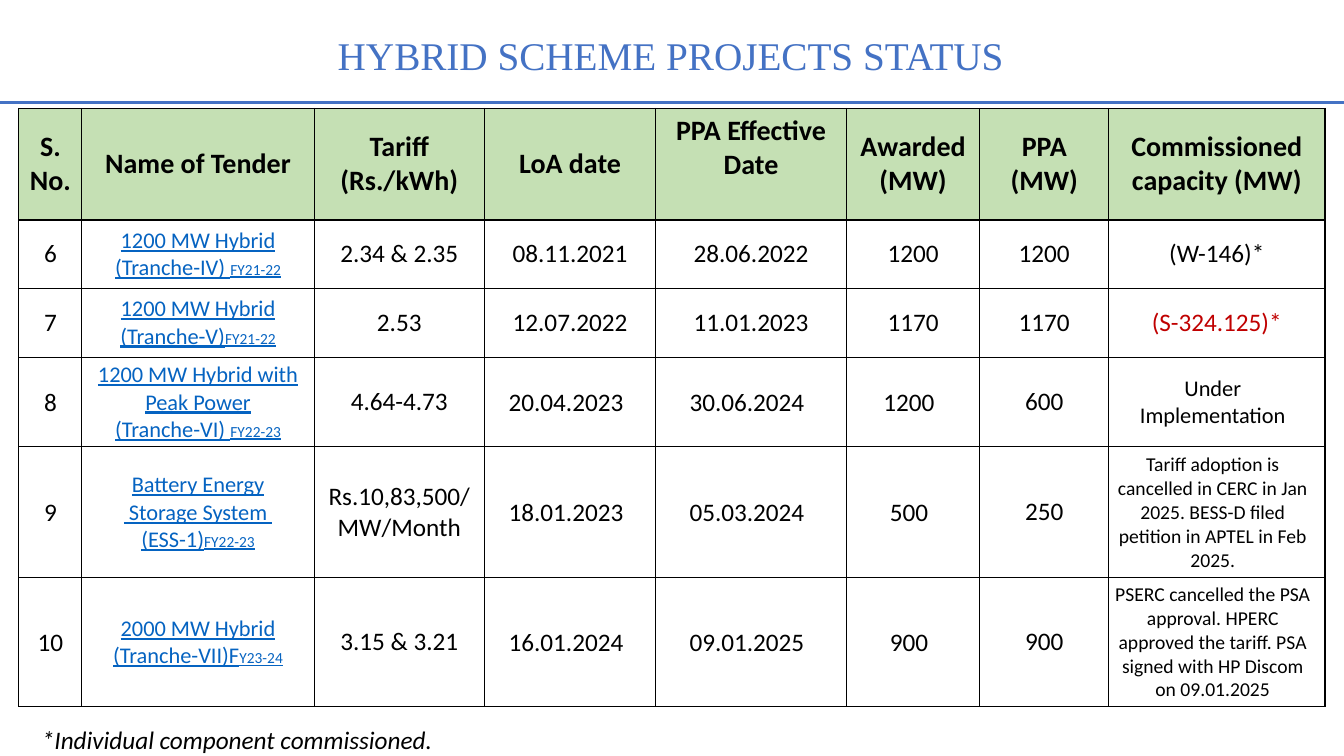
import dataclasses

import pptx
import pptx.dml.color
import pptx.enum.shapes
import pptx.enum.text
import pptx.oxml
import pptx.oxml.ns
import pptx.util

Pt = pptx.util.Pt
CENTER = pptx.enum.text.PP_ALIGN.CENTER
LEFT = pptx.enum.text.PP_ALIGN.LEFT
MIDDLE = pptx.enum.text.MSO_ANCHOR.MIDDLE


@dataclasses.dataclass(frozen=True)
class Theme:
    accent: str = "4472C4"
    ink: str = "000000"
    link: str = "0563C1"
    alert: str = "C00000"
    header_fill: str = "C5E0B4"
    title_font: str = "Times New Roman"
    body_font: str = "Calibri"
    title_size: float = 28
    header_size: float = 20
    body_size: float = 18
    tender_size: float = 16
    remark_size: float = 14
    year_size: float = 11


THEME = Theme()
NORMAL_INSETS = (7.2, 3.6, 7.2, 3.6)
TIGHT_INSETS = (0.72, 0.72, 0.72, 0)
TIGHT_LEFT_INSETS = (0.72, 0.72, 6.5, 0)
# Room below the text lifts this heading above the middle of its cell.
RAISED_INSETS = (7.2, 3.6, 7.2, 28)

COLUMN_WIDTHS = [45, 166, 121.5, 122.5, 136, 95.5, 92, 154.5]
ROW_HEIGHTS = [77, 49, 49, 64, 93.5, 92]
HEADINGS = [
    "S. No.", "Name of Tender", "Tariff (Rs./kWh)", "LoA date",
    "PPA Effective Date", "Awarded (MW)", "PPA (MW)", "Commissioned capacity (MW)",
]
TENDER_COLUMN, PPA_DATE_COLUMN, STATUS_COLUMN = 1, 4, 7
NORMAL_COLUMNS = (2, 6)
FIRST_TIGHT_ROW = 3

# Each tender holds its lines and the fiscal year that follows the last line.
PROJECTS = [
    ["6", (["1200 MW Hybrid (Tranche-IV) "], "FY21-22"), "2.34 & 2.35",
     "08.11.2021", "28.06.2022", "1200", "1200", "(W-146)*"],
    ["7", (["1200 MW Hybrid (Tranche-V)"], "FY21-22"), "2.53",
     "12.07.2022", "11.01.2023", "1170", "1170", "(S-324.125)*"],
    ["8", (["1200 MW Hybrid with Peak Power", "(Tranche-VI) "], "FY22-23"), "4.64-4.73",
     "20.04.2023", "30.06.2024", "1200", "600", "Under Implementation"],
    ["9", (["Battery Energy", " Storage System ", "(ESS-1)"], "FY22-23"),
     "Rs.10,83,500/ MW/Month", "18.01.2023", "05.03.2024", "500", "250",
     "Tariff adoption is cancelled in CERC in Jan 2025. "
     "BESS-D filed petition in APTEL in Feb 2025."],
    ["10", (["2000 MW Hybrid (Tranche-VII)F"], "Y23-24"), "3.15 & 3.21",
     "16.01.2024", "09.01.2025", "900", "900",
     "PSERC cancelled the PSA approval. HPERC approved the tariff. "
     "PSA signed with HP Discom on 09.01.2025"],
]
STATUS_FORMATS = [
    {},
    {"color": THEME.alert},
    {"size": THEME.tender_size},
    {"size": THEME.remark_size},
    {"size": THEME.remark_size},
]


def add_span(para, text, font=THEME.body_font, size=THEME.body_size, color=THEME.ink,
             bold=False, italic=False, underline=False):
    span = para.add_run()
    span.text = text
    span.font.name = font
    span.font.size = Pt(size)
    span.font.color.rgb = pptx.dml.color.RGBColor.from_string(color)
    span.font.bold = bold
    span.font.italic = italic
    span.font.underline = underline


def insets_for(row, column):
    if row == 0 and column == PPA_DATE_COLUMN:
        return RAISED_INSETS
    if row < FIRST_TIGHT_ROW or column in NORMAL_COLUMNS:
        return NORMAL_INSETS
    return TIGHT_INSETS if column <= TENDER_COLUMN else TIGHT_LEFT_INSETS


class SlideBuilder:
    def __init__(self, page, theme):
        self.page = page
        self.theme = theme

    def add_rule(self, left, right, top):
        line = self.page.shapes.add_connector(
            pptx.enum.shapes.MSO_CONNECTOR.STRAIGHT, Pt(left), Pt(top), Pt(right), Pt(top))
        line.line.color.rgb = pptx.dml.color.RGBColor.from_string(self.theme.accent)
        line.line.width = Pt(2.25)
        line._element.spPr.append(pptx.oxml.parse_xml(
            f'<a:effectLst {pptx.oxml.ns.nsdecls("a")}/>'))

    def add_text(self, text, left, top, width, height, align=LEFT, inset=7.2,
                 spacing=1.0, **format):
        box = self.page.shapes.add_textbox(Pt(left), Pt(top), Pt(width), Pt(height))
        frame = box.text_frame
        frame.word_wrap = True
        frame.vertical_anchor = MIDDLE
        frame.margin_left = Pt(inset)
        para = frame.paragraphs[0]
        para.alignment = align
        para.line_spacing = spacing
        add_span(para, text, **format)

    def add_borders(self, cell):
        properties = cell._tc.get_or_add_tcPr()
        for index, side in enumerate(("lnL", "lnR", "lnT", "lnB")):
            properties.insert(index, pptx.oxml.parse_xml(
                f'<a:{side} {pptx.oxml.ns.nsdecls("a")} w="{Pt(1)}"><a:solidFill>'
                f'<a:srgbClr val="{self.theme.ink}"/></a:solidFill></a:{side}>'))

    def fill_tender(self, cell, tender):
        lines, year = tender
        link = {"color": self.theme.link, "underline": True}
        for index, line in enumerate(lines):
            para = cell.text_frame.add_paragraph() if index else cell.text_frame.paragraphs[0]
            para.alignment = CENTER
            add_span(para, line, size=self.theme.tender_size, **link)
        add_span(para, year, size=self.theme.year_size, **link)

    def fill_cell(self, cell, content, row, column):
        left, top, right, bottom = insets_for(row, column)
        cell.margin_left, cell.margin_top = Pt(left), Pt(top)
        cell.margin_right, cell.margin_bottom = Pt(right), Pt(bottom)
        cell.vertical_anchor = MIDDLE
        if row == 0:
            cell.fill.solid()
            cell.fill.fore_color.rgb = pptx.dml.color.RGBColor.from_string(
                self.theme.header_fill)
            format = {"size": self.theme.header_size, "bold": True}
        else:
            cell.fill.background()
            format = STATUS_FORMATS[row - 1] if column == STATUS_COLUMN else {}
        self.add_borders(cell)
        if row and column == TENDER_COLUMN:
            self.fill_tender(cell, content)
        else:
            para = cell.text_frame.paragraphs[0]
            para.alignment = CENTER
            add_span(para, content, **format)

    def add_status_table(self, left, top):
        table = self.page.shapes.add_table(
            len(ROW_HEIGHTS), len(COLUMN_WIDTHS), Pt(left), Pt(top),
            Pt(sum(COLUMN_WIDTHS)), Pt(sum(ROW_HEIGHTS))).table
        table.first_row = False
        table.horz_banding = False
        for column, width in zip(table.columns, COLUMN_WIDTHS):
            column.width = Pt(width)
        for row, height in zip(table.rows, ROW_HEIGHTS):
            row.height = Pt(height)
        for row, contents in enumerate([HEADINGS, *PROJECTS]):
            for column, content in enumerate(contents):
                self.fill_cell(table.cell(row, column), content, row, column)


def main():
    deck = pptx.Presentation()
    deck.slide_width, deck.slide_height = Pt(960), Pt(540)
    page = deck.slides.add_slide(deck.slide_layouts[6])
    builder = SlideBuilder(page, THEME)
    builder.add_rule(0, 960, 73.5)
    builder.add_text("HYBRID SCHEME PROJECTS STATUS", 65, 12, 828, 59, align=CENTER,
                     spacing=0.9, font=THEME.title_font, size=THEME.title_size,
                     color=THEME.accent)
    builder.add_status_table(13.5, 77.5)
    builder.add_text("*Individual component commissioned.", 13.5, 519, 764, 18,
                     inset=16.5, italic=True)
    deck.save("out.pptx")


if __name__ == "__main__":
    main()
